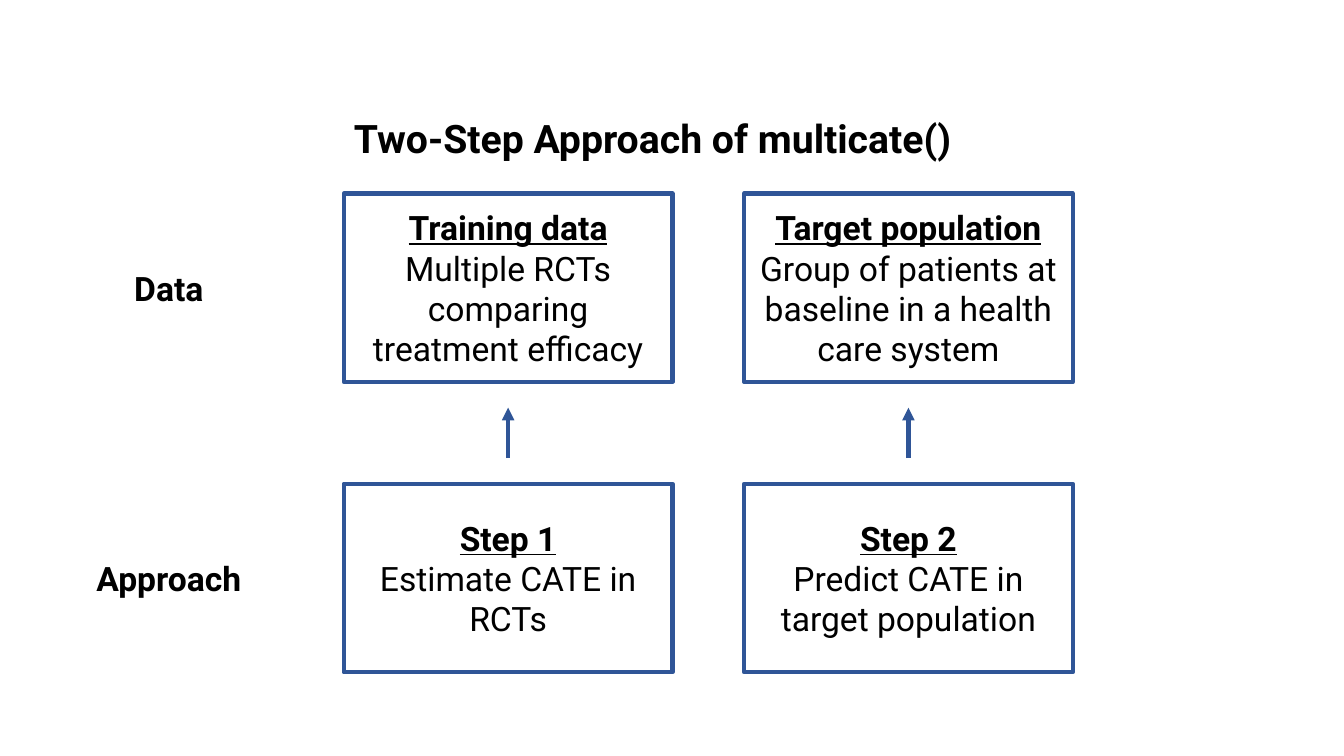
from lxml import etree
from pptx import Presentation
from pptx.dml.color import RGBColor
from pptx.enum.shapes import MSO_CONNECTOR, MSO_SHAPE
from pptx.enum.text import MSO_ANCHOR, PP_ALIGN
from pptx.oxml.ns import qn
from pptx.util import Inches, Pt

LEFT, CENTER = PP_ALIGN.LEFT, PP_ALIGN.CENTER
TOP, MIDDLE = MSO_ANCHOR.TOP, MSO_ANCHOR.MIDDLE
RECT, STRAIGHT = MSO_SHAPE.RECTANGLE, MSO_CONNECTOR.STRAIGHT

COLORS = {"ink": "000000", "edge": "2F5597"}
BODY = {"name": "Roboto", "size": Pt(24), "bold": False, "underline": False}
LABEL = {**BODY, "bold": True}
HEAD = {**LABEL, "underline": True}
TITLE = {**LABEL, "size": Pt(28)}

COLS = (3.41, 7.38)
BOX_W, BOX_H = 3.26, 1.87
LABEL_X, LABEL_W, LABEL_H = 0.64, 2.07, 0.5
ARROW_H = 0.5
ROWS = (
    (1.92, "Data", (
        ("Training data", "Multiple RCTs comparing treatment efficacy"),
        ("Target population",
         "Group of patients at baseline in a health care system"))),
    (4.8, "Approach", (
        ("Step 1", "Estimate CATE in RCTs"),
        ("Step 2", "Predict CATE in target population"))),
)


def color(key):
    return RGBColor.from_string(COLORS[key])


def write(shape, lines, align, anchor):
    """Fill a shape with (text, format) paragraphs."""
    frame = shape.text_frame
    frame.word_wrap = True
    frame.vertical_anchor = anchor
    for i, (text, style) in enumerate(lines):
        para = frame.add_paragraph() if i else frame.paragraphs[0]
        para.alignment = align
        run = para.add_run()
        run.text = text
        for name, value in style.items():
            setattr(run.font, name, value)
        run.font.color.rgb = color("ink")


def edge(line):
    line.color.rgb = color("edge")
    line.width = Pt(3)


def add_title(slide, x, y, w, h):
    title = slide.shapes.title
    place = {"left": x, "top": y, "width": w, "height": h}
    for name, value in place.items():
        setattr(title, name, Inches(value))
    write(title, [("Two-Step Approach of multicate()", TITLE)], LEFT, TOP)
    title.text_frame.paragraphs[0].line_spacing = 1.0


def add_box(slide, x, y, w, h, head, body):
    box = slide.shapes.add_shape(RECT, *map(Inches, (x, y, w, h)))
    box.shadow.inherit = False
    box.fill.background()
    edge(box.line)
    write(box, [(head, HEAD), (body, BODY)], CENTER, MIDDLE)


def add_label(slide, x, y, w, h, text):
    label = slide.shapes.add_textbox(*map(Inches, (x, y, w, h)))
    write(label, [(text, LABEL)], CENTER, TOP)


def add_row(slide, y, name, cells):
    """Place a row label and its boxes."""
    add_label(slide, LABEL_X, y + (BOX_H - LABEL_H) / 2,
              LABEL_W, LABEL_H, name)
    for x, (head, body) in zip(COLS, cells):
        add_box(slide, x, y, BOX_W, BOX_H, head, body)


def add_arrow(slide, x, y, h):
    """Draw an upward arrow from the bottom of its span."""
    arrow = slide.shapes.add_connector(
        STRAIGHT, *map(Inches, (x, y + h, x, y)))
    edge(arrow.line)
    props = arrow._element.spPr
    etree.SubElement(props.find(qn("a:ln")), qn("a:tailEnd"), type="triangle")
    etree.SubElement(props, qn("a:effectLst"))


def main():
    prs = Presentation()
    prs.slide_width, prs.slide_height = Inches(13.33), Inches(7.5)
    slide = prs.slides.add_slide(prs.slide_layouts[5])

    # Title and rows
    add_title(slide, COLS[0], 1.08, 8.01, 0.57)
    for row in ROWS:
        add_row(slide, *row)

    # Arrows centred in the gap between the rows
    mid = (ROWS[0][0] + BOX_H + ROWS[1][0]) / 2
    for x in COLS:
        add_arrow(slide, x + BOX_W / 2, mid - ARROW_H / 2, ARROW_H)

    prs.save("out.pptx")


if __name__ == "__main__":
    main()
